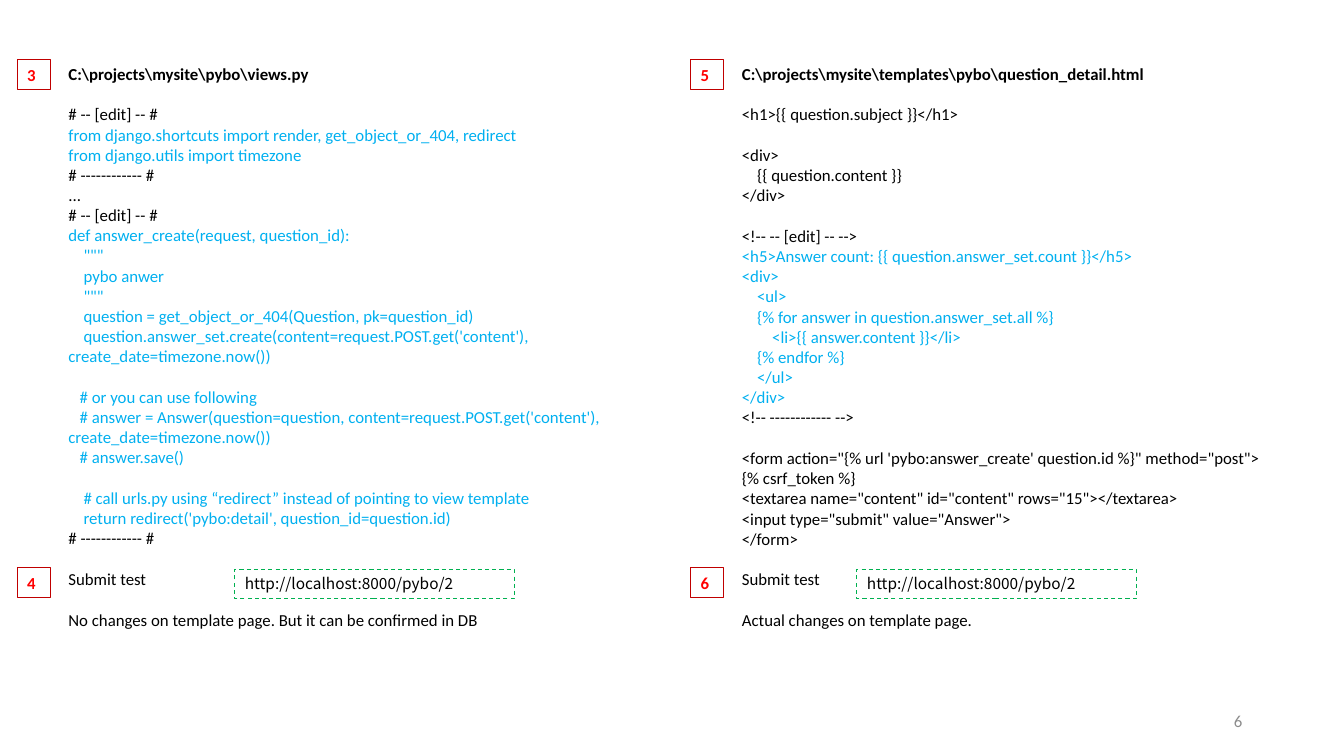
from pptx import Presentation
from pptx import util as u
from pptx.dml.color import RGBColor
from pptx.enum import dml, shapes, text

BLACK, BLUE, RED, GREEN = "000000", "00B0F0", "C00000", "00B050"
URL = "http://localhost:8000/pybo/2"

VIEW = r'''C:\projects\mysite\pybo\views.py

# -- [edit] -- #
from django.shortcuts import render, get_object_or_404, redirect
from django.utils import timezone
# ------------ #
...
# -- [edit] -- #
def answer_create(request, question_id):
    """
    pybo anwer
    """
    question = get_object_or_404(Question, pk=question_id)
    question.answer_set.create(content=request.POST.get('content'), create_date=timezone.now())

   # or you can use following
   # answer = Answer(question=question, content=request.POST.get('content'), create_date=timezone.now())
   # answer.save()

    # call urls.py using “redirect” instead of pointing to view template
    return redirect('pybo:detail', question_id=question.id)
# ------------ #

Submit test

No changes on template page. But it can be confirmed in DB'''

PAGE = r'''C:\projects\mysite\templates\pybo\question_detail.html

<h1>{{ question.subject }}</h1>

<div>
    {{ question.content }}
</div>

<!-- -- [edit] -- -->
<h5>Answer count: {{ question.answer_set.count }}</h5>
<div>
    <ul>
    {% for answer in question.answer_set.all %}
        <li>{{ answer.content }}</li>
    {% endfor %}
    </ul>
</div>
<!-- ------------ -->

<form action="{% url 'pybo:answer_create' question.id %}" method="post">
{% csrf_token %}
<textarea name="content" id="content" rows="15"></textarea>
<input type="submit" value="Answer">
</form>

Submit test

Actual changes on template page.'''


def color(code):
    return RGBColor.from_string(code)


def style(para, code, size=12, name="Calibri", bold=False):
    looks = {"size": u.Pt(size), "name": name, "bold": bold}
    for key, val in looks.items():
        setattr(para.font, key, val)
    para.font.color.rgb = color(code)


def frame(slide, box):
    body = slide.shapes.add_textbox(*map(u.Inches, box)).text_frame
    body.word_wrap = True
    return body


def label(slide, box, words, edge, dash=None, **look):
    """Outlined box with one line of text."""
    shape = slide.shapes.add_shape(
        shapes.MSO_SHAPE.RECTANGLE, *map(u.Inches, box))
    shape.shadow.inherit = False
    shape.fill.background()
    shape.line.color.rgb = color(edge)
    shape.line.width = u.Pt(0.75)
    if dash:
        shape.line.dash_style = dash
    body = shape.text_frame
    body.vertical_anchor = text.MSO_ANCHOR.TOP
    para = body.paragraphs[0]
    para.text = words
    para.alignment = text.PP_ALIGN.LEFT
    style(para, **look)


def listing(slide, box, source):
    """Code lines: edited parts are blue, empty lines become spacing."""
    body = frame(slide, box)
    para, gap, edit = body.paragraphs[0], False, False
    for row, line in enumerate(source.split("\n")):
        if not line:
            gap = True
            continue
        if row:
            para = body.add_paragraph()
        if "------------" in line:
            edit = False
        para.text = line
        if gap:
            para.space_before = u.Pt(14.65)
        style(para, BLUE if edit else BLACK, bold=row == 0)
        gap = False
        if "[edit]" in line:
            edit = True


def column(slide, box, source, steps, shift):
    """Listing with two step numbers at its left and the test address."""
    left, top = box[:2]
    listing(slide, box, source)
    for step, drop in zip(steps, (0.01, 5.05)):
        label(slide, (left - 0.41, top + drop, 0.33, 0.3), step, RED,
              code="FF0000", bold=True)
    label(slide, (left + shift, top + 5.07, 2.77, 0.29), URL, GREEN,
          dml.MSO_LINE.DASH, code=BLACK, size=11, name="Noto Sans CJK KR")


def footer(slide, box, number):
    body = frame(slide, box)
    body.vertical_anchor = text.MSO_ANCHOR.MIDDLE
    para = body.paragraphs[0]
    para.text = number
    para.alignment = text.PP_ALIGN.RIGHT
    style(para, "8C8C8C")


def main():
    deck = Presentation()
    deck.slide_width, deck.slide_height = u.Inches(13.33), u.Inches(7.5)
    slide = deck.slides.add_slide(deck.slide_layouts[6])
    # Left: view code; right: template code
    column(slide, (0.58, 0.58, 5.81, 6.47), VIEW, "34", 1.75)
    column(slide, (7.26, 0.58, 5.89, 6.47), PAGE, "56", 1.24)
    # Slide number
    footer(slide, (9.42, 6.95, 3, 0.4), "6")
    deck.save("out.pptx")


if __name__ == "__main__":
    main()
